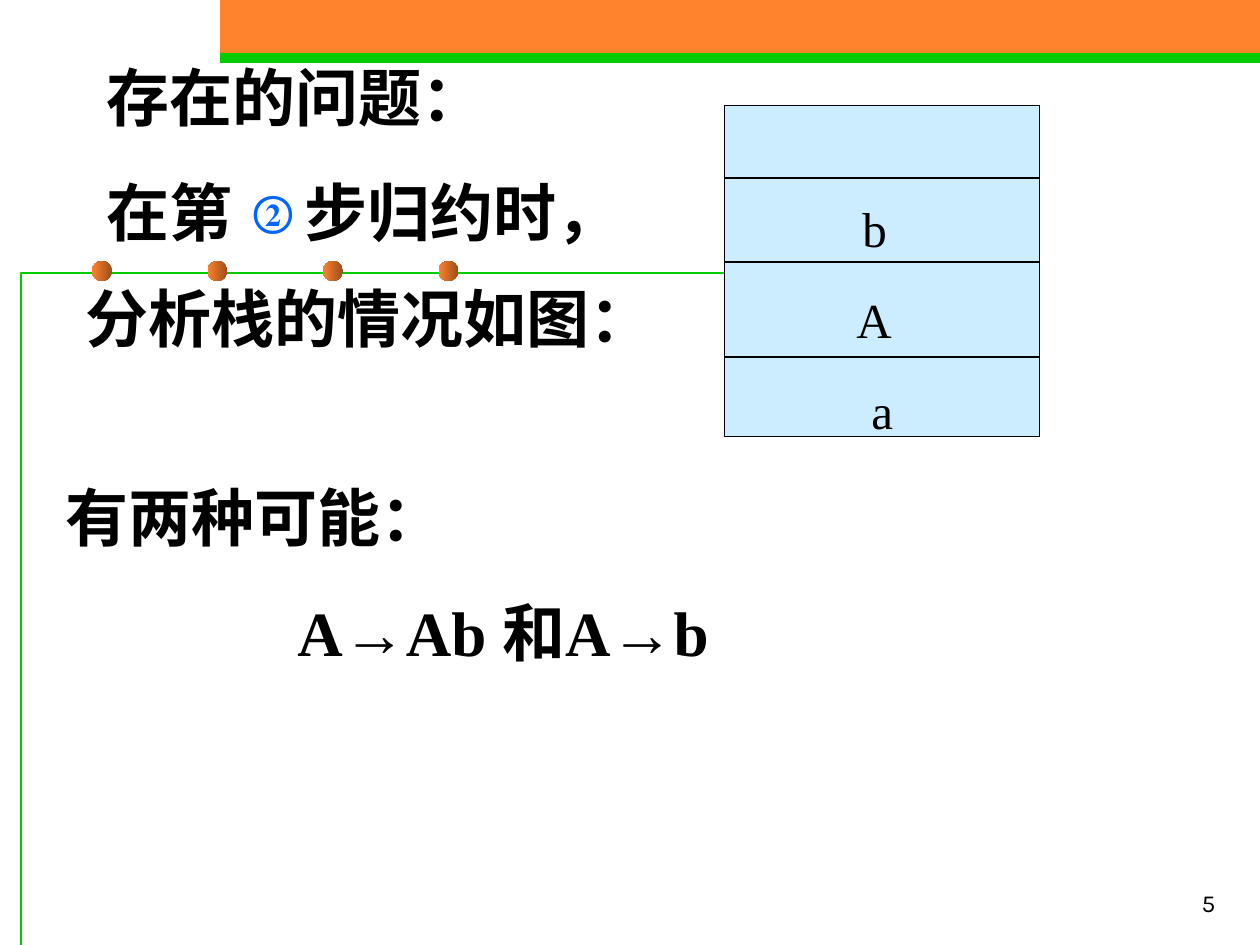
from lxml import etree
from pptx import Presentation, util as u
from pptx.dml.color import RGBColor
from pptx.enum import shapes, text
from pptx.oxml.ns import qn

PX = u.Inches(1) / 126
ORANGE = RGBColor(0xFF, 0x82, 0x2D)
BROWN = RGBColor(0x9A, 0x4E, 0x1B)
GREEN = RGBColor(0x00, 0xCC, 0x00)
BLUE = RGBColor(0x00, 0x66, 0xFF)
PALE = RGBColor(0xCC, 0xEC, 0xFF)
BLACK = RGBColor(0, 0, 0)
SERIF = "Times New Roman"


def emu(*vals):
    return [u.Emu(round(v * PX)) for v in vals]


def write(frame, lines, size=36, color=BLACK, bold=True, font=SERIF, gap=0,
          dents=(), tab=None, top=6, align=None, anchor=text.MSO_ANCHOR.TOP):
    """Fill a text frame; dents holds left indents per line, tab one tab stop."""
    frame.word_wrap = True
    frame.vertical_anchor = anchor
    frame.margin_top = emu(top)[0]
    for i, line in enumerate(lines):
        par = frame.paragraphs[0] if i == 0 else frame.add_paragraph()
        par.alignment = align
        if i:
            par.space_before = u.Pt(gap)
        props = par._p.get_or_add_pPr()
        if dents:
            props.set("marL", str(emu(dents[i])[0]))
            props.set("indent", "0")
        if tab and "\t" in line:
            stops = etree.SubElement(props, qn("a:tabLst"))
            etree.SubElement(stops, qn("a:tab"), pos=str(emu(tab)[0]), algn="l")
        run = par.add_run()
        run.text = line
        run.font.size = u.Pt(size)
        run.font.name = font
        run.font.bold = bold
        run.font.color.rgb = color


def label(slide, box, lines, **style):
    write(slide.shapes.add_textbox(*emu(*box)).text_frame, lines, **style)


def block(slide, box, fill, kind=shapes.MSO_SHAPE.RECTANGLE):
    shape = slide.shapes.add_shape(kind, *emu(*box))
    shape.shadow.inherit = False
    shape.line.fill.background()
    shape.fill.solid()
    shape.fill.fore_color.rgb = fill
    return shape


def rule(slide, left, right, y):
    line = slide.shapes.add_connector(
        shapes.MSO_CONNECTOR.STRAIGHT, *emu(left, y, right, y))
    line.line.color.rgb = BLACK
    line.line.width = u.Pt(0.75)
    etree.SubElement(line._element.spPr, qn("a:effectLst"))


def banner(slide, x, y, w, h):
    strip = 10
    block(slide, (x, y, w, h - strip), ORANGE)
    block(slide, (x, y + h - strip, w, strip), GREEN)


def frame(slide, x, y, w, h):
    """Green corner line with four beads along its top edge."""
    path = slide.shapes.build_freeform(x, y + h, scale=PX)
    path.add_line_segments([(x, y), (x + w, y)], close=False)
    edge = path.convert_to_shape()
    edge.shadow.inherit = False
    edge.fill.background()
    edge.line.color.rgb = GREEN
    edge.line.width = u.Pt(0.75)
    size = 20
    for i in range(4):
        bead = block(slide, (x + 71 + 115.5 * i, y - 12, size, size),
                     ORANGE, shapes.MSO_SHAPE.OVAL)
        bead.fill.gradient()
        bead.fill.gradient_angle = 180
        for stop, pos, color in zip(bead.fill.gradient_stops, (0, 1), (BROWN, ORANGE)):
            stop.position = pos
            stop.color.rgb = color


def stack(slide, x, y, w, h):
    """Parsing stack: four cells, the top one empty."""
    body = block(slide, (x, y, w, h), PALE)
    body.line.color.rgb = BLACK
    body.line.width = u.Pt(0.25)
    write(body.text_frame, ["b", "A", "a"], size=28, bold=False, gap=18.5,
          dents=(126, 120, 135), top=93, align=text.PP_ALIGN.LEFT)
    for down in (73, 157, 252):
        rule(slide, x, x + w, y + down)


def problem(slide, x, y, w, h):
    label(slide, (x, y, w, h), ["存在的问题：", "在第\t步归约时，"], gap=22.5, tab=198)
    label(slide, (x + 147, y + 126, 76, 63), ["②"], size=24, color=BLUE)
    label(slide, (x - 21, y + 221, 609, 88), ["分析栈的情况如图："])


def choices(slide, x, y, w, h):
    label(slide, (x, y, w, h), ["有两种可能：", "A→Ab 和A→b"],
          gap=22.5, dents=(0, 232))


def main():
    deck = Presentation()
    deck.slide_width, deck.slide_height = emu(1260, 945)
    slide = deck.slides.add_slide(deck.slide_layouts[6])
    banner(slide, 220, 0, 1040, 63)
    frame(slide, 21, 273, 945, 672)
    problem(slide, 94, 53, 1103, 204)
    choices(slide, 53, 473, 1103, 204)
    stack(slide, 724, 105, 315, 331)
    label(slide, (966, 861, 262, 63), ["5"], size=14, bold=False, font="Karla",
          align=text.PP_ALIGN.RIGHT, anchor=text.MSO_ANCHOR.BOTTOM)
    deck.save("out.pptx")


if __name__ == "__main__":
    main()
